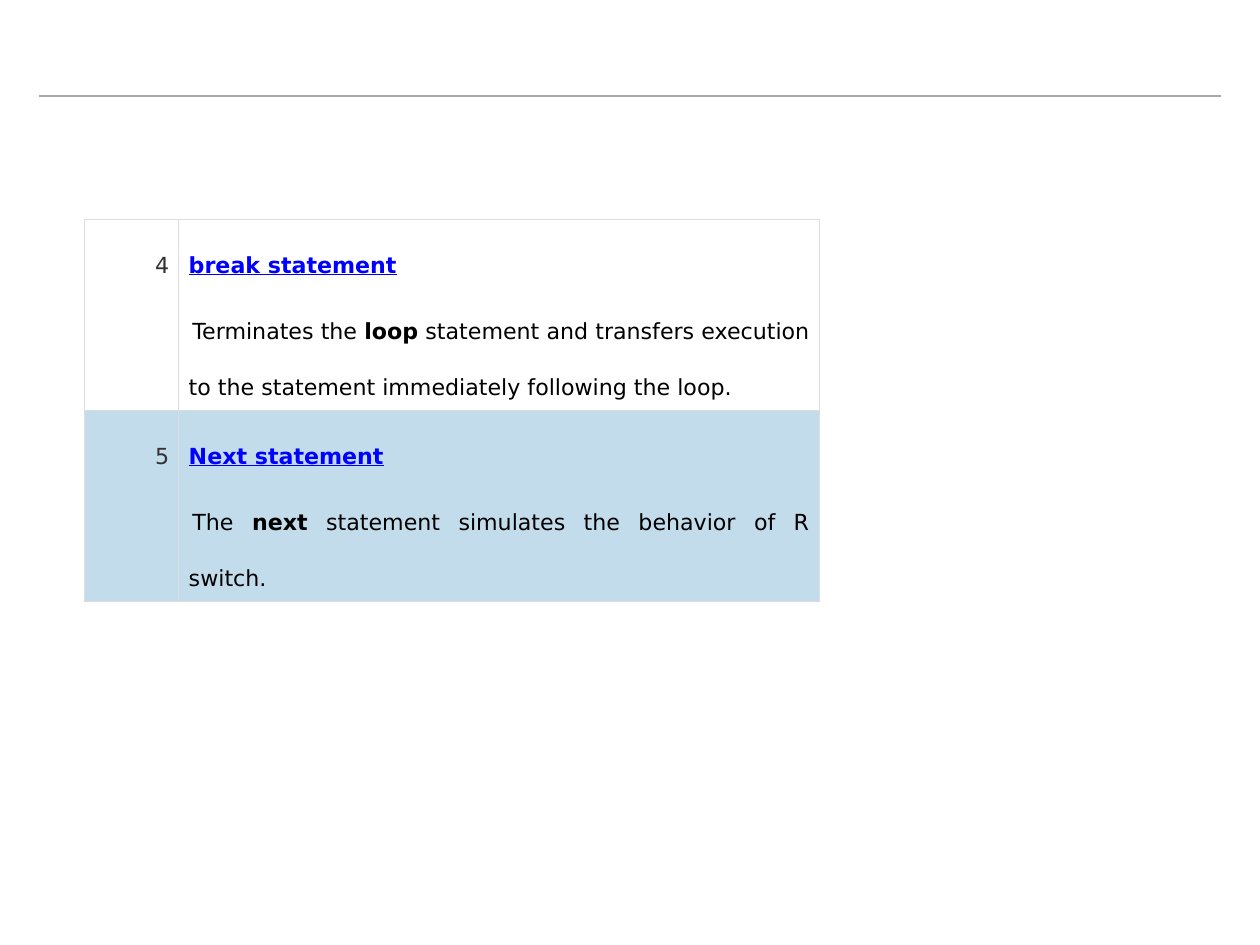
from dataclasses import dataclass

from lxml.etree import SubElement
from pptx import Presentation
from pptx.dml.color import RGBColor as RGB
from pptx.enum.shapes import MSO_CONNECTOR as CONNECTOR
from pptx.enum.text import PP_ALIGN as ALIGN
from pptx.oxml import parse_xml
from pptx.oxml.ns import nsdecls, qn
from pptx.slide import Slide
from pptx.table import _Cell as Cell
from pptx.text.text import _Paragraph as Paragraph
from pptx.util import Pt


@dataclass(frozen=True)
class Theme:
    font: str = "DejaVu Sans"
    size: float = 18
    number: str = "313131"
    link: str = "0000FF"
    body: str = "000000"
    rule: str = "A6AAA9"
    border: str = "DDDDDD"
    band: str = "2E87BB"
    band_alpha: int = 29


@dataclass(frozen=True)
class Statement:
    number: str
    title: str
    before: str
    keyword: str
    after: str
    banded: bool = False


THEME = Theme()
STATEMENTS = [
    Statement("4", "break statement", "Terminates the ", "loop",
              " statement and transfers execution to the statement"
              " immediately following the loop."),
    Statement("5", "Next statement", "The ", "next",
              " statement simulates the behavior of R switch.", banded=True),
]
SLIDE_WIDTH, SLIDE_HEIGHT = 1024, 768
RULE_LEFT, RULE_RIGHT, RULE_Y = 32, 992, 78.2
TABLE_LEFT, TABLE_TOP = 68.4, 178.4
COLUMN_WIDTHS = [77, 520.6]
ROW_HEIGHT = 103
CELL_MARGIN = 8


def style_paragraph(p: Paragraph, color: str, line: float,
                    align: ALIGN = ALIGN.LEFT) -> None:
    p.alignment = align
    p.line_spacing = Pt(line)
    p.font.name = THEME.font
    p.font.size = Pt(THEME.size)
    p.font.color.rgb = RGB.from_string(color)


def style_cell(cell: Cell, banded: bool) -> None:
    cell.margin_left = cell.margin_right = Pt(CELL_MARGIN)
    cell.margin_top = cell.margin_bottom = Pt(CELL_MARGIN)
    tc_pr = cell._tc.get_or_add_tcPr()
    for side in "LRTB":
        tc_pr.append(parse_xml(
            f'<a:ln{side} {nsdecls("a")} w="{Pt(1)}"><a:solidFill>'
            f'<a:srgbClr val="{THEME.border}"/></a:solidFill></a:ln{side}>'))
    if banded:
        cell.fill.solid()
        cell.fill.fore_color.rgb = RGB.from_string(THEME.band)
        color = tc_pr.find(qn("a:solidFill")).find(qn("a:srgbClr"))
        SubElement(color, qn("a:alpha"), val=str(THEME.band_alpha * 1000))
    else:
        cell.fill.background()


def fill_number(cell: Cell, number: str) -> None:
    p = cell.text_frame.paragraphs[0]
    p.add_run().text = number
    style_paragraph(p, THEME.number, 40, ALIGN.RIGHT)


def fill_description(cell: Cell, statement: Statement) -> None:
    tf = cell.text_frame
    title = tf.paragraphs[0]
    title.add_run().text = statement.title
    style_paragraph(title, THEME.link, 40)
    title.font.bold = title.font.underline = True

    p = tf.add_paragraph()
    style_paragraph(p, THEME.body, 45, ALIGN.JUSTIFY)
    p.space_before = Pt(9)
    p_pr = p._p.get_or_add_pPr()
    p_pr.set("marL", "0")
    p_pr.set("indent", str(Pt(3)))
    for text in (statement.before, statement.keyword, statement.after):
        r = p.add_run()
        r.text = text
        r.font.bold = text == statement.keyword


def add_rule(s: Slide) -> None:
    line = s.shapes.add_connector(CONNECTOR.STRAIGHT, Pt(RULE_LEFT), Pt(RULE_Y),
                                  Pt(RULE_RIGHT), Pt(RULE_Y))
    line.line.color.rgb = RGB.from_string(THEME.rule)
    line.line.width = Pt(2)
    SubElement(line._element.spPr, qn("a:effectLst"))


def add_statement_table(s: Slide) -> None:
    table = s.shapes.add_table(
        len(STATEMENTS), len(COLUMN_WIDTHS), Pt(TABLE_LEFT), Pt(TABLE_TOP),
        Pt(sum(COLUMN_WIDTHS)), Pt(ROW_HEIGHT * len(STATEMENTS))).table
    table.first_row = table.horz_banding = False
    for column, width in zip(table.columns, COLUMN_WIDTHS):
        column.width = Pt(width)
    for row, statement in zip(table.rows, STATEMENTS):
        row.height = Pt(ROW_HEIGHT)
        number, description = row.cells
        for cell in (number, description):
            style_cell(cell, statement.banded)
        fill_number(number, statement.number)
        fill_description(description, statement)


def main() -> None:
    prs = Presentation()
    prs.slide_width, prs.slide_height = Pt(SLIDE_WIDTH), Pt(SLIDE_HEIGHT)
    s = prs.slides.add_slide(prs.slide_layouts[6])
    add_rule(s)
    add_statement_table(s)
    prs.save("out.pptx")


if __name__ == "__main__":
    main()
